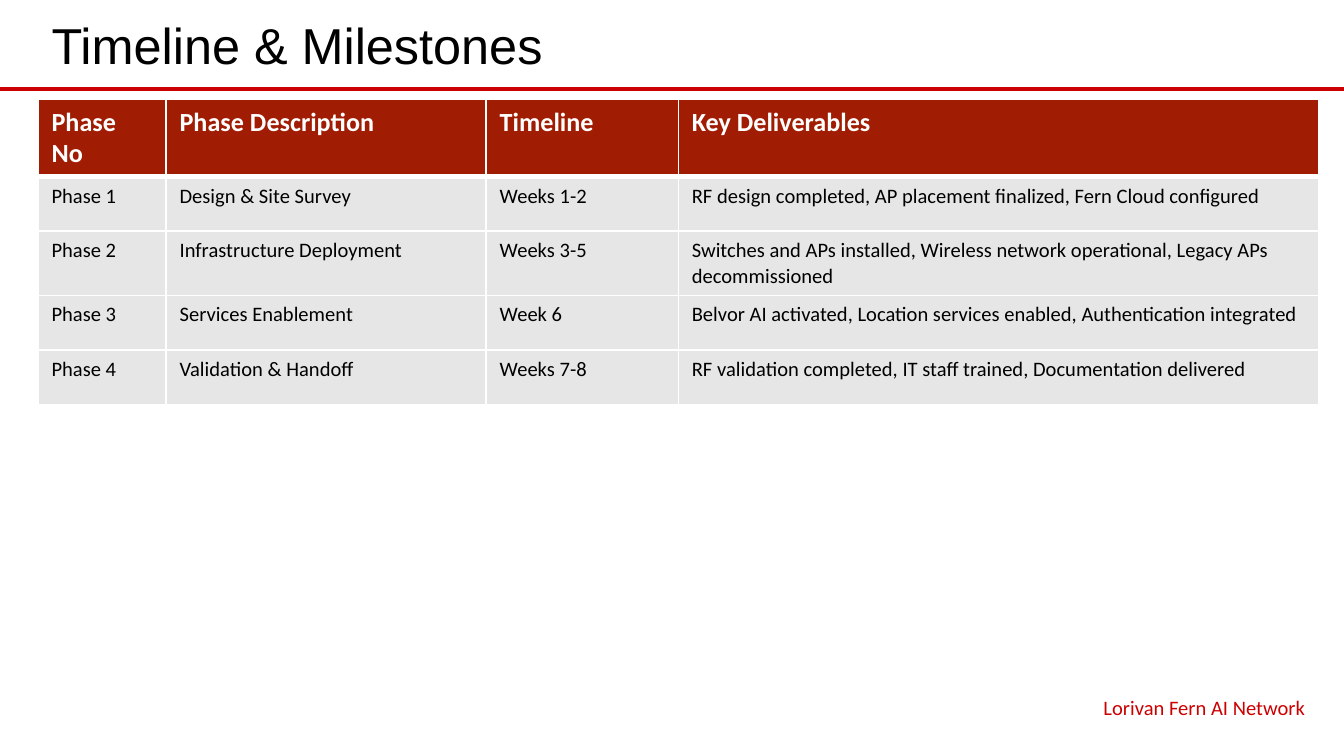
import pptx
import pptx.dml.color
import pptx.enum.shapes
import pptx.enum.text
import pptx.oxml
import pptx.oxml.ns
import pptx.util
from pptx.util import Cm

RED = pptx.dml.color.RGBColor(0xCC, 0x00, 0x00)
BRICK = pptx.dml.color.RGBColor(0xA0, 0x1C, 0x02)
GRAY = pptx.dml.color.RGBColor(0xE7, 0xE6, 0xE6)
BLACK = pptx.dml.color.RGBColor(0, 0, 0)
WHITE = pptx.dml.color.RGBColor(0xFF, 0xFF, 0xFF)

PAGE_WIDTH, PAGE_HEIGHT = Cm(25.4), Cm(14.28)
MARGIN, CONTENT_WIDTH = Cm(0.72), Cm(24.2)
COLUMN_SHARES = (1, 2.5, 1.5, 5)
PHASES = (
    ("Phase No", "Phase Description", "Timeline", "Key Deliverables"),
    ("Phase 1", "Design & Site Survey", "Weeks 1-2",
     "RF design completed, AP placement finalized, Fern Cloud configured"),
    ("Phase 2", "Infrastructure Deployment", "Weeks 3-5",
     "Switches and APs installed, Wireless network operational, "
     "Legacy APs decommissioned"),
    ("Phase 3", "Services Enablement", "Week 6",
     "Belvor AI activated, Location services enabled, Authentication integrated"),
    ("Phase 4", "Validation & Handoff", "Weeks 7-8",
     "RF validation completed, IT staff trained, Documentation delivered"),
)


def write(frame, text, size, font, color, bold=False):
    frame.text = text
    for span in frame.paragraphs[0].runs:
        span.font.size = pptx.util.Pt(size)
        span.font.name = font
        span.font.color.rgb = color
        span.font.bold = bold


def place_heading(page, left, top, width, height):
    """Put the title in the box and the full-width rule just below it."""
    title = page.shapes.title
    title.left, title.top, title.width, title.height = left, top, width, height
    frame = title.text_frame
    write(frame, "Timeline & Milestones", 27, "Arial", BLACK)
    frame.vertical_anchor = pptx.enum.text.MSO_ANCHOR.MIDDLE
    frame.paragraphs[0].alignment = pptx.enum.text.PP_ALIGN.LEFT

    rule_y = top + height + Cm(0.1)
    rule = page.shapes.add_connector(
        pptx.enum.shapes.MSO_CONNECTOR.STRAIGHT, 0, rule_y, PAGE_WIDTH, rule_y)
    rule.line.color.rgb = RED
    rule.line.width = pptx.util.Pt(2.25)
    rule._element.spPr.append(pptx.oxml.parse_xml(
        f"<a:effectLst {pptx.oxml.ns.nsdecls('a')}/>"))


def set_borders(cell, points_by_side):
    properties = cell._tc.get_or_add_tcPr()
    for side, points in points_by_side.items():
        properties.append(pptx.oxml.parse_xml(
            f'<a:ln{side} {pptx.oxml.ns.nsdecls("a")} w="{pptx.util.Pt(points)}">'
            f'<a:solidFill><a:srgbClr val="{WHITE}"/></a:solidFill></a:ln{side}>'))


def place_phases(page, left, top, width, height):
    table = page.shapes.add_table(
        len(PHASES), len(COLUMN_SHARES), left, top, width, height).table
    table.horz_banding = False
    for column, share in zip(table.columns, COLUMN_SHARES):
        column.width = int(width * share / sum(COLUMN_SHARES))
    for row, texts in enumerate(PHASES):
        header = row == 0
        borders = {"L": 1, "R": 1, "T": 3 if row == 1 else 1, "B": 3 if header else 1}
        for column, text in enumerate(texts):
            cell = table.cell(row, column)
            write(cell.text_frame, text, 14 if header else 11, "Calibri",
                  WHITE if header else BLACK, bold=header)
            set_borders(cell, borders)
            cell.fill.solid()
            cell.fill.fore_color.rgb = BRICK if header else GRAY


def place_footer(page, left, top, width, height):
    box = page.shapes.add_textbox(left, top, width, height)
    box.text_frame.word_wrap = True
    write(box.text_frame, "Lorivan Fern AI Network", 11, "Calibri", RED)
    box.text_frame.paragraphs[0].alignment = pptx.enum.text.PP_ALIGN.RIGHT


def main():
    deck = pptx.Presentation()
    deck.slide_width, deck.slide_height = PAGE_WIDTH, PAGE_HEIGHT
    page = deck.slides.add_slide(deck.slide_layouts.get_by_name("Title Only"))
    place_heading(page, MARGIN, Cm(0.1), CONTENT_WIDTH, Cm(1.48))
    place_phases(page, MARGIN, Cm(1.88), CONTENT_WIDTH, Cm(5.15))
    footer_width = Cm(8.94)
    place_footer(page, MARGIN + CONTENT_WIDTH - footer_width, Cm(13),
                 footer_width, Cm(0.66))
    deck.save("out.pptx")


if __name__ == "__main__":
    main()
